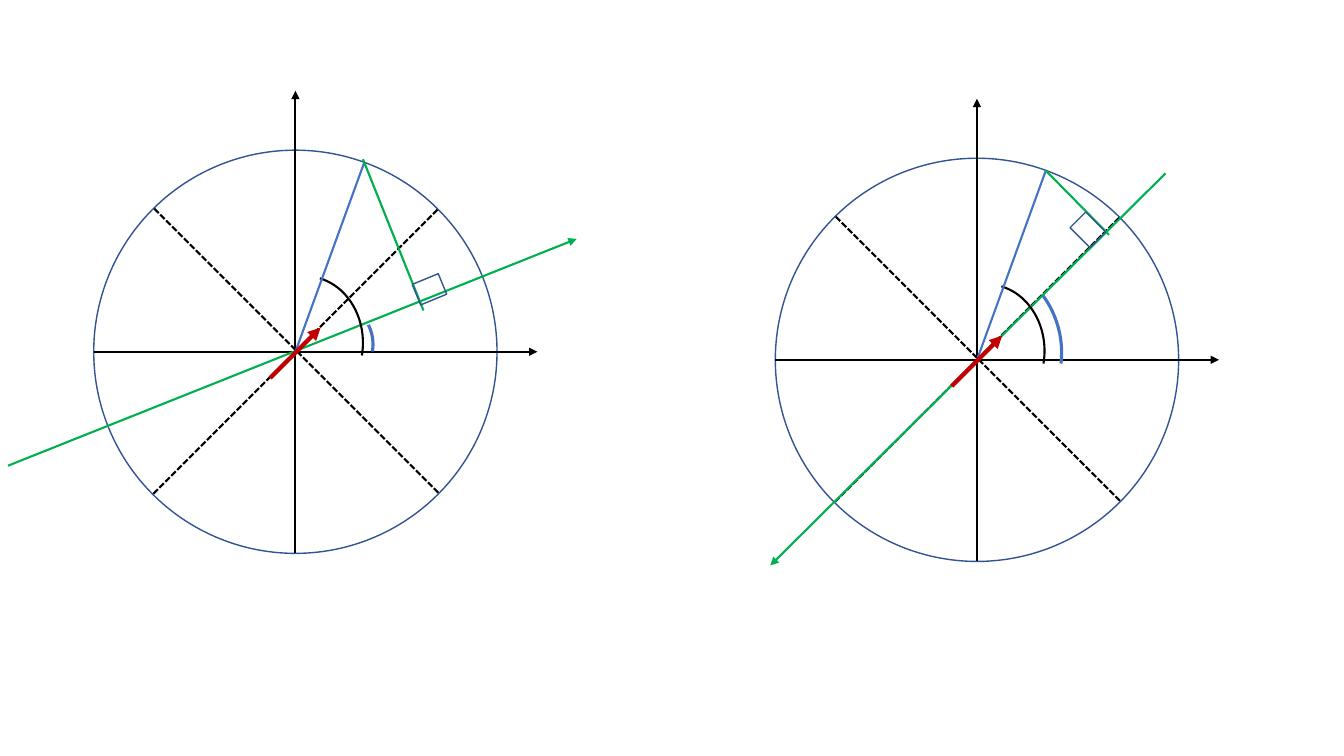
from lxml.etree import SubElement
from pptx import Presentation
from pptx.dml.color import RGBColor
from pptx.enum.dml import MSO_LINE
from pptx.enum.shapes import MSO_CONNECTOR, MSO_SHAPE
from pptx.oxml.ns import qn
from pptx.util import Inches, Pt

BLACK, GREEN, RED = "000000", "00B050", "C00000"
BLUE, OUTLINE = "4472C4", "325491"
RADIUS = 2
ARC_UNITS_PER_DEGREE = 0.6


def draw_line(panel, center, start, end, color, width=1.5, dashed=False, arrow=False):
    ends = [Inches(c + d) for point in (start, end) for c, d in zip(center, point)]
    segment = panel.shapes.add_connector(MSO_CONNECTOR.STRAIGHT, *ends)
    segment.line.color.rgb = RGBColor.from_string(color)
    segment.line.width = Pt(width)
    if dashed:
        segment.line.dash_style = MSO_LINE.SQUARE_DOT
    properties = segment._element.spPr
    if arrow:
        SubElement(properties.find(qn("a:ln")), qn("a:tailEnd"), type="triangle")
    SubElement(properties, qn("a:effectLst"))


def draw_outline(panel, center, preset, box, color, width=1, angles=(), rotation=0):
    left, top, across, down = box
    figure = panel.shapes.add_shape(
        preset, Inches(center[0] + left), Inches(center[1] + top), Inches(across), Inches(down)
    )
    for index, angle in enumerate(angles):
        figure.adjustments[index] = angle * ARC_UNITS_PER_DEGREE
    figure.rotation = rotation
    figure.shadow.inherit = False
    figure.fill.background()
    figure.line.color.rgb = RGBColor.from_string(color)
    figure.line.width = Pt(width)


deck = Presentation()
deck.slide_width, deck.slide_height = Inches(13.33), Inches(7.5)
slide = deck.slides.add_slide(deck.slide_layouts[6])

projections = [
    {
        "center": (2.93, 3.49),
        "axis": ((-2.85, 1.13), (2.79, -1.12)),
        "angle_box": (-0.6, -0.61, 1.37, 1.07),
        "angle_start": 343.31,
        "perpendicular": ((1.27, -0.41), (0.67, -1.91)),
        "corner": (1.19, -0.73),
        "corner_rotation": 337.5,
    },
    {
        "center": (9.69, 3.57),
        "axis": ((1.87, -1.85), (-2.05, 2.04)),
        "angle_box": (-1.16, -1.05, 2, 1.96),
        "angle_start": 325.35,
        "perpendicular": ((1.31, -1.24), (0.68, -1.88)),
        "corner": (0.96, -1.4),
        "corner_rotation": 45,
    },
]

for projection in projections:
    center = projection["center"]
    panel = slide.shapes.add_group_shape()

    circle_box = (-RADIUS, -RADIUS, 2 * RADIUS, 2 * RADIUS)
    draw_outline(panel, center, MSO_SHAPE.OVAL, circle_box, OUTLINE)
    draw_line(panel, center, (0, RADIUS), (0, -2.59), BLACK, arrow=True)
    draw_line(panel, center, (-RADIUS, 0), (2.4, 0), BLACK, arrow=True)
    draw_line(panel, center, (1.41, -1.41), (-1.42, 1.42), BLACK, dashed=True)
    draw_line(panel, center, (-1.4, -1.42), (1.43, 1.41), BLACK, dashed=True)

    draw_line(panel, center, *projection["axis"], GREEN, arrow=True)
    draw_outline(panel, center, MSO_SHAPE.ARC, projection["angle_box"], BLUE, 2.25,
                 angles=(projection["angle_start"], 6.13))
    draw_outline(panel, center, MSO_SHAPE.ARC, (-0.47, -0.75, 1.14, 1.32), BLACK, 1.5,
                 angles=(282.58, 12.76))
    draw_line(panel, center, (0, 0), (0.68, -1.87), BLUE)
    draw_line(panel, center, *projection["perpendicular"], GREEN)
    draw_outline(panel, center, MSO_SHAPE.RECTANGLE, (*projection["corner"], 0.28, 0.22), OUTLINE,
                 rotation=projection["corner_rotation"])
    draw_line(panel, center, (-0.25, 0.26), (0.25, -0.24), RED, 3, arrow=True)

deck.save("out.pptx")
